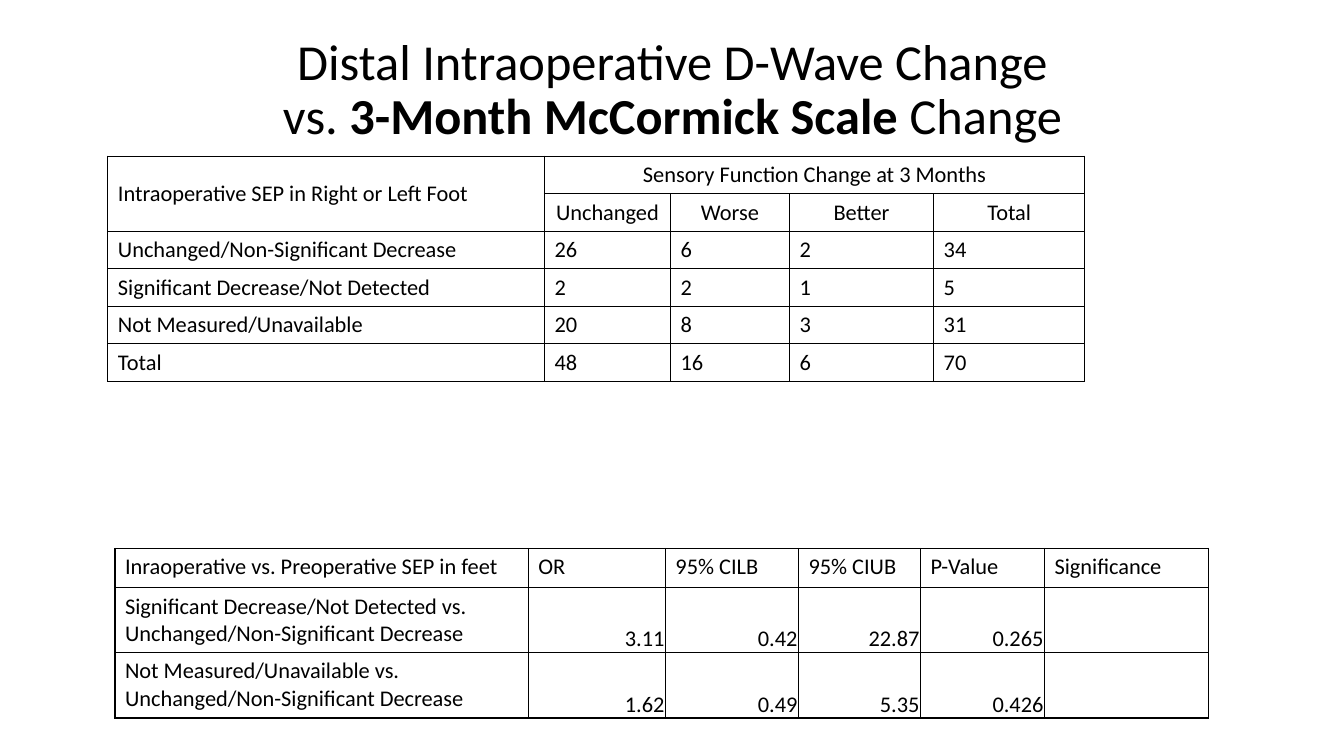
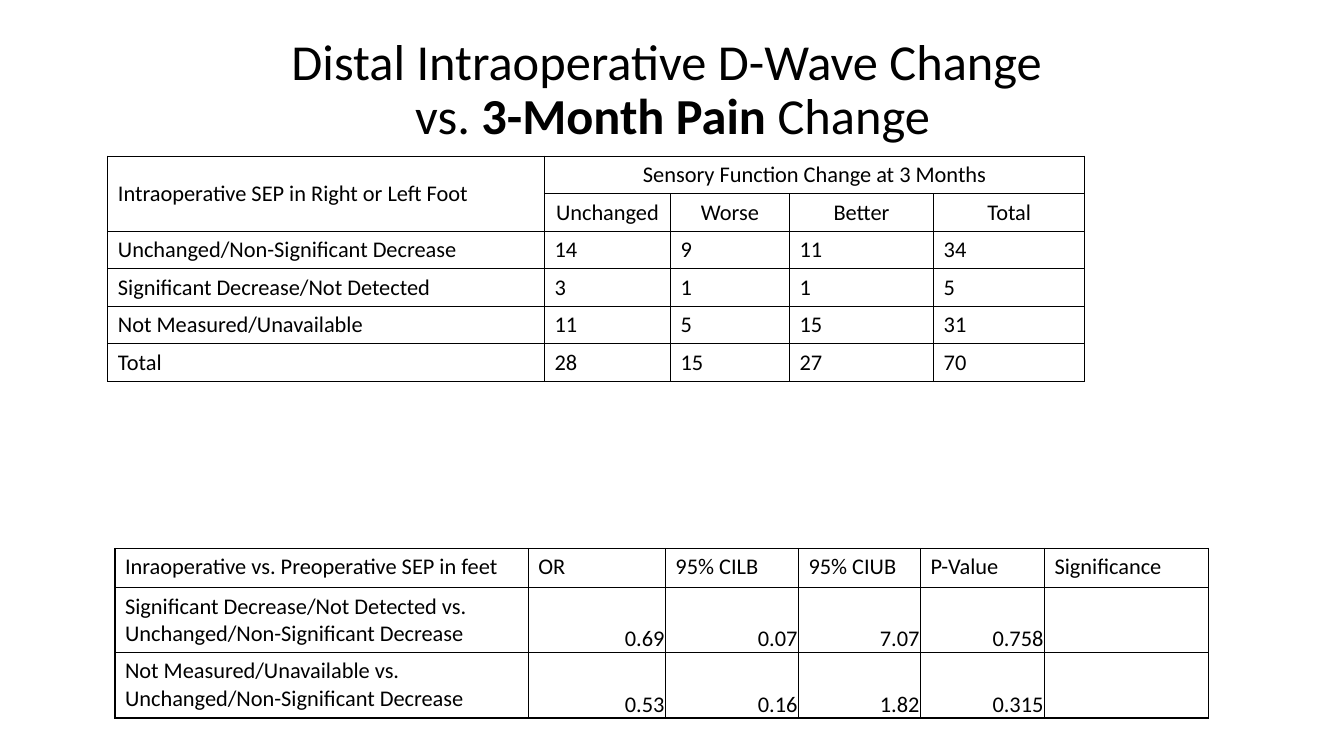
import pptx
import pptx.dml.color
import pptx.enum.text
import pptx.oxml
import pptx.oxml.ns
import pptx.util
from pptx.util import Inches

FONT = "Calibri"
INK = "000000"
TITLE_SIZE = 36
TABLE_SIZE = 16
LINE_WIDTH = 1
TITLE_BOX = (0.92, 0.29, 11.5, 1.23)
COUNTS_BOX = (1.07, 1.55, 9.69, 2.22)
ODDS_BOX = (1.14, 5.44, 10.85, 1.68)
COUNTS_COLUMNS = [4.33, 1.25, 1.18, 1.43, 1.5]
ODDS_COLUMNS = [4.1, 1.36, 1.32, 1.21, 1.23, 1.63]
ODDS_ROWS = [0.39, 0.64, 0.65]
LEFT, CENTER, RIGHT = (
    pptx.enum.text.PP_ALIGN.LEFT,
    pptx.enum.text.PP_ALIGN.CENTER,
    pptx.enum.text.PP_ALIGN.RIGHT,
)
TOP, MIDDLE, BOTTOM = (
    pptx.enum.text.MSO_ANCHOR.TOP,
    pptx.enum.text.MSO_ANCHOR.MIDDLE,
    pptx.enum.text.MSO_ANCHOR.BOTTOM,
)

UNCHANGED = "Unchanged/Non-Significant Decrease"
DECREASED = "Significant Decrease/Not Detected"
UNMEASURED = "Not Measured/Unavailable"
COUNTS_LABELS = [UNCHANGED, DECREASED, UNMEASURED, "Total"]
COUNTS_HEADS = ["Unchanged", "Worse", "Better", "Total"]
ODDS_LABELS = [f"{group} vs. {UNCHANGED}" for group in (DECREASED, UNMEASURED)]
ODDS_HEADS = ["Inraoperative vs. Preoperative SEP in feet", "OR", "95% CILB",
              "95% CIUB", "P-Value", "Significance"]

OUTCOMES = [
    {
        "lead": "Distal Intraoperative D-Wave Change\vvs. ",
        "outcome": "3-Month McCormick Scale ",
        "counts": [[26, 6, 2, 34], [2, 2, 1, 5], [20, 8, 3, 31], [48, 16, 6, 70]],
        "odds": [["3.11", "0.42", "22.87", "0.265"], ["1.62", "0.49", "5.35", "0.426"]],
    },
    {
        "lead": "Distal Intraoperative D-Wave Change \vvs. ",
        "outcome": "3-Month Pain ",
        "counts": [[14, 9, 11, 34], [3, 1, 1, 5], [11, 5, 15, 31], [28, 15, 27, 70]],
        "odds": [["0.69", "0.07", "7.07", "0.758"], ["0.53", "0.16", "1.82", "0.315"]],
    },
]


def color(value):
    """Return the colour for a hex string."""
    return pptx.dml.color.RGBColor.from_string(value)


def style_run(run, size, bold=False):
    """Give a run the deck's font and ink."""
    run.font.name = FONT
    run.font.size = pptx.util.Pt(size)
    run.font.bold = bold
    run.font.color.rgb = color(INK)


def set_title_style(master):
    """Set the title size and line spacing shared by all slides."""
    level = master.element.find(".//" + pptx.oxml.ns.qn("p:titleStyle"))[0]
    level.find(pptx.oxml.ns.qn("a:defRPr")).set("sz", str(TITLE_SIZE * 100))


def add_title(slide, box, lead, outcome):
    """Place the two-line title with the outcome in bold."""
    title = slide.shapes.title
    title.left, title.top, title.width, title.height = map(Inches, box)
    frame = title.text_frame
    frame.auto_size = pptx.enum.text.MSO_AUTO_SIZE.NONE
    frame.vertical_anchor = MIDDLE
    heading = frame.paragraphs[0]
    heading.text = lead
    heading.alignment = CENTER
    heading.line_spacing = 0.9
    for words in (outcome, "Change"):
        heading.add_run().text = words
    for run in heading.runs:
        style_run(run, TITLE_SIZE, run.text == outcome)


def add_borders(cell):
    """Draw a solid line on the four sides of a cell."""
    properties = cell._tc.get_or_add_tcPr()
    for position, side in enumerate("LRTB"):
        line = pptx.oxml.parse_xml(
            f'<a:ln{side} {pptx.oxml.ns.nsdecls("a")} w="{pptx.util.Pt(LINE_WIDTH)}">'
            f'<a:solidFill><a:srgbClr val="{INK}"/></a:solidFill></a:ln{side}>'
        )
        properties.insert(position, line)


def add_grid(slide, box, columns, rows):
    """Add an unfilled, ruled table with the given column and row sizes."""
    table = slide.shapes.add_table(len(rows), len(columns), *map(Inches, box)).table
    table.first_row = table.horz_banding = False
    for column, width in zip(table.columns, columns):
        column.width = Inches(width)
    for row, height in zip(table.rows, rows):
        row.height = Inches(height)
    for cell in table.iter_cells():
        cell.fill.background()
        add_borders(cell)
    return table


def write_cell(cell, text, align=LEFT, anchor=TOP):
    """Write and format the text of one cell."""
    cell.text_frame.text = str(text)
    cell.vertical_anchor = anchor
    paragraph = cell.text_frame.paragraphs[0]
    paragraph.alignment = align
    for run in paragraph.runs:
        style_run(run, TABLE_SIZE)


def add_counts(slide, box, counts):
    """Place the table of patient counts under its two-row header."""
    row_total = len(counts) + 2
    table = add_grid(slide, box, COUNTS_COLUMNS, [box[3] / row_total] * row_total)
    table.cell(0, 0).merge(table.cell(1, 0))
    table.cell(0, 1).merge(table.cell(0, 4))
    write_cell(table.cell(0, 0), "Intraoperative SEP in Right or Left Foot", anchor=MIDDLE)
    write_cell(table.cell(0, 1), "Sensory Function Change at 3 Months", CENTER, MIDDLE)
    for column, head in enumerate(COUNTS_HEADS, 1):
        write_cell(table.cell(1, column), head, CENTER)
    for row, (label, values) in enumerate(zip(COUNTS_LABELS, counts), 2):
        for column, value in enumerate([label, *values]):
            write_cell(table.cell(row, column), value)


def add_odds(slide, box, odds):
    """Place the table of odds ratios, intervals and p-values."""
    table = add_grid(slide, box, ODDS_COLUMNS, ODDS_ROWS)
    for column, head in enumerate(ODDS_HEADS):
        write_cell(table.cell(0, column), head)
    for row, (label, values) in enumerate(zip(ODDS_LABELS, odds), 1):
        write_cell(table.cell(row, 0), label)
        for column, value in enumerate(values, 1):
            cell = table.cell(row, column)
            write_cell(cell, value, RIGHT, BOTTOM)
            cell.margin_left = cell.margin_right = cell.margin_top = Inches(0.01)
            cell.margin_bottom = 0


def add_outcome_slide(deck, content):
    """Build one slide comparing D-wave change with an outcome."""
    slide = deck.slides.add_slide(deck.slide_layouts[5])
    add_title(slide, TITLE_BOX, content["lead"], content["outcome"])
    add_counts(slide, COUNTS_BOX, content["counts"])
    add_odds(slide, ODDS_BOX, content["odds"])


def main():
    """Build and save the deck."""
    deck = pptx.Presentation()
    deck.slide_width, deck.slide_height = Inches(13.33), Inches(7.5)
    set_title_style(deck.slide_master)
    for content in OUTCOMES:
        add_outcome_slide(deck, content)
    deck.save("out.pptx")


if __name__ == "__main__":
    main()
